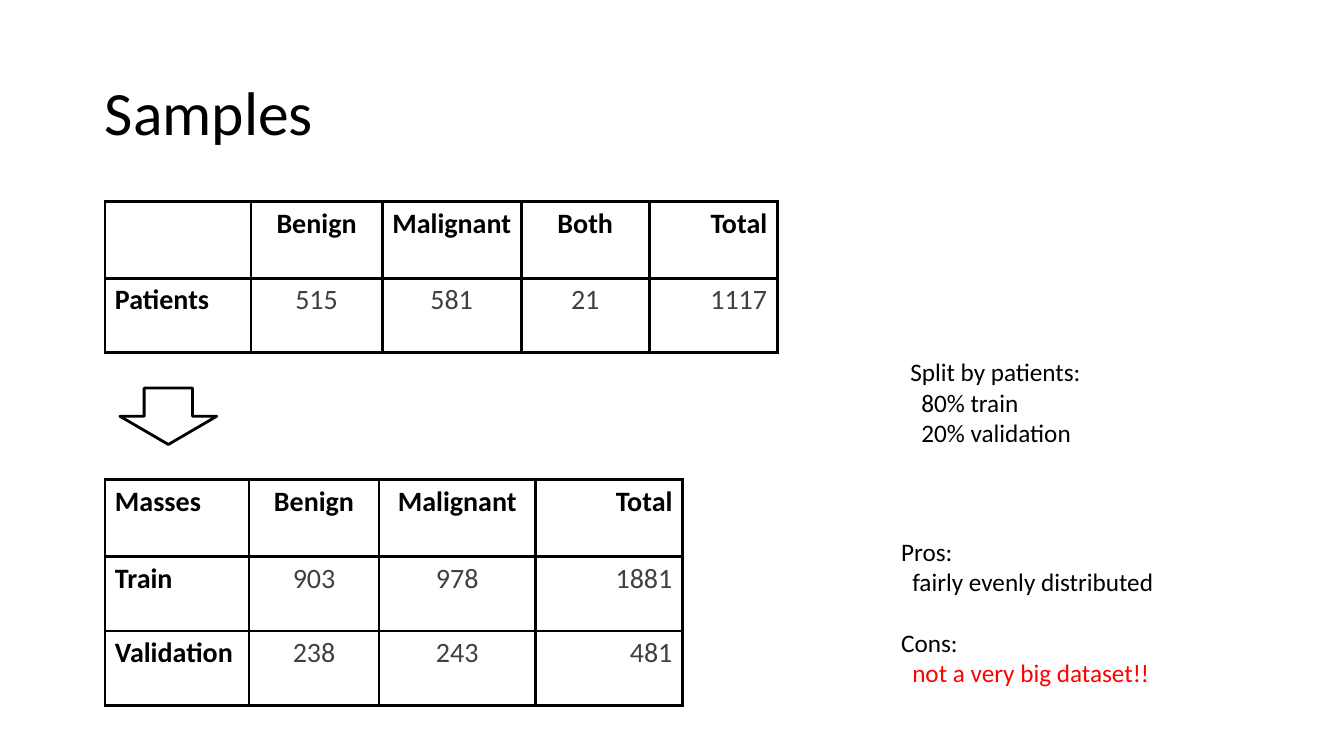
"""Build the Samples slide with patient and mass counts and the split notes."""
from dataclasses import dataclass

from lxml import etree
from pptx import Presentation
from pptx import util as u
from pptx.dml.color import RGBColor
from pptx.enum import shapes, text
from pptx.oxml.ns import qn

BLACK, GREY, RED = "000000", "404040", "FF0000"
FONT = "Calibri"
NOTE_INDENT = u.Inches(0.11)


@dataclass
class CountTable:
    """A table of sample counts."""
    left: float
    top: float
    columns: list[float]
    rows: list[list[str]]


@dataclass
class NoteLine:
    """One line of a note."""
    words: str
    indented: bool = False
    color: str = BLACK
    space_before: int = 0


@dataclass
class Note:
    """A text box of note lines."""
    box: tuple[float, float, float, float]
    lines: list[NoteLine]


COUNT_TABLES = [
    CountTable(1.04, 4.76, [1.43, 1.29, 1.55, 1.46], [
        ["Masses", "Benign", "Malignant", "Total"],
        ["Train", "903", "978", "1881"],
        ["Validation", "238", "243", "481"],
    ]),
    CountTable(1.04, 2, [1.45, 1.3, 1.38, 1.27, 1.27], [
        ["", "Benign", "Malignant", "Both", "Total"],
        ["Patients", "515", "581", "21", "1117"],
    ]),
]
NOTES = [
    Note((8.93, 3.49, 2.7, 1.01), [
        NoteLine("Split by patients:"),
        NoteLine("80% train", indented=True),
        NoteLine("20% validation", indented=True),
    ]),
    Note((8.84, 5.27, 3.13, 1.62), [
        NoteLine("Pros:"),
        NoteLine("fairly evenly distributed", indented=True),
        NoteLine("Cons:", space_before=22),
        NoteLine("not a very big dataset!!", indented=True, color=RED),
    ]),
]


def rgb(color: str) -> RGBColor:
    """Turn a hex string into a colour."""
    return RGBColor.from_string(color)


def apply(target, formats: dict) -> None:
    """Set each attribute named in a dict of format values."""
    for name, value in formats.items():
        setattr(target, name, value)


def write(paragraph, words: str, size: int, color: str, bold: bool = False) -> None:
    """Add formatted words to a paragraph."""
    run = paragraph.add_run()
    run.text = words
    apply(run.font, {"name": FONT, "size": u.Pt(size), "bold": bold})
    run.font.color.rgb = rgb(color)


def add_borders(cell, color: str, width: float) -> None:
    """Draw a solid line on all four sides of a cell."""
    properties = cell._tc.get_or_add_tcPr()
    for side in ("a:lnL", "a:lnR", "a:lnT", "a:lnB"):
        line = etree.SubElement(properties, qn(side), w=str(u.Pt(width)))
        fill = etree.SubElement(line, qn("a:solidFill"))
        etree.SubElement(fill, qn("a:srgbClr"), val=color)


def add_title(slide, words: str) -> None:
    """Place and fill the title placeholder."""
    title = slide.shapes.title
    apply(title, {"left": u.Inches(0.94), "top": u.Inches(0.42),
                  "width": u.Inches(11.5), "height": u.Inches(1.45)})
    title.text_frame.vertical_anchor = text.MSO_ANCHOR.MIDDLE
    paragraph = title.text_frame.paragraphs[0]
    apply(paragraph, {"alignment": text.PP_ALIGN.LEFT, "line_spacing": 0.9})
    write(paragraph, words, 44, BLACK)


def add_counts(slide, counts: CountTable) -> None:
    """Draw a bordered table of counts with bold headings."""
    heights = [0.76] + [0.74] * (len(counts.rows) - 1)
    last = len(counts.columns) - 1
    table = slide.shapes.add_table(
        len(heights), len(counts.columns), u.Inches(counts.left), u.Inches(counts.top),
        u.Inches(sum(counts.columns)), u.Inches(sum(heights))).table
    apply(table, {"first_row": False, "horz_banding": False})
    for column, width in zip(table.columns, counts.columns):
        column.width = u.Inches(width)
    for row_index, values in enumerate(counts.rows):
        table.rows[row_index].height = u.Inches(heights[row_index])
        for column_index, value in enumerate(values):
            cell = table.cell(row_index, column_index)
            add_borders(cell, BLACK, 2.25)
            cell.fill.background()
            paragraph = cell.text_frame.paragraphs[0]
            paragraph.alignment = {0: text.PP_ALIGN.LEFT, last: text.PP_ALIGN.RIGHT}.get(
                column_index, text.PP_ALIGN.CENTER)
            heading = row_index == 0 or column_index == 0
            if value:
                write(paragraph, value, 20, BLACK if heading else GREY, heading)


def add_note(slide, note: Note) -> None:
    """Draw a text box with one paragraph per note line."""
    frame = slide.shapes.add_textbox(*map(u.Inches, note.box)).text_frame
    apply(frame, {"word_wrap": True, "auto_size": text.MSO_AUTO_SIZE.SHAPE_TO_FIT_TEXT})
    for index, line in enumerate(note.lines):
        paragraph = frame.add_paragraph() if index else frame.paragraphs[0]
        if line.indented:
            paragraph._p.get_or_add_pPr().set("marL", str(NOTE_INDENT))
        if line.space_before:
            paragraph.space_before = u.Pt(line.space_before)
        write(paragraph, line.words, 18, line.color)


def add_split_arrow(slide) -> None:
    """Draw the outlined arrow from patients to masses."""
    arrow = slide.shapes.add_shape(
        shapes.MSO_SHAPE.DOWN_ARROW, *map(u.Inches, (1.19, 3.85, 0.96, 0.56)))
    arrow.shadow.inherit = False
    arrow.fill.background()
    arrow.line.color.rgb = rgb(BLACK)
    arrow.line.width = u.Pt(2)


def main() -> None:
    """Build and save the presentation."""
    presentation = Presentation()
    apply(presentation, {"slide_width": u.Inches(13.33), "slide_height": u.Inches(7.5)})
    slide = presentation.slides.add_slide(presentation.slide_layouts[5])
    add_title(slide, "Samples")
    for counts in COUNT_TABLES:
        add_counts(slide, counts)
    for note in NOTES:
        add_note(slide, note)
    add_split_arrow(slide)
    presentation.save("out.pptx")


if __name__ == "__main__":
    main()
